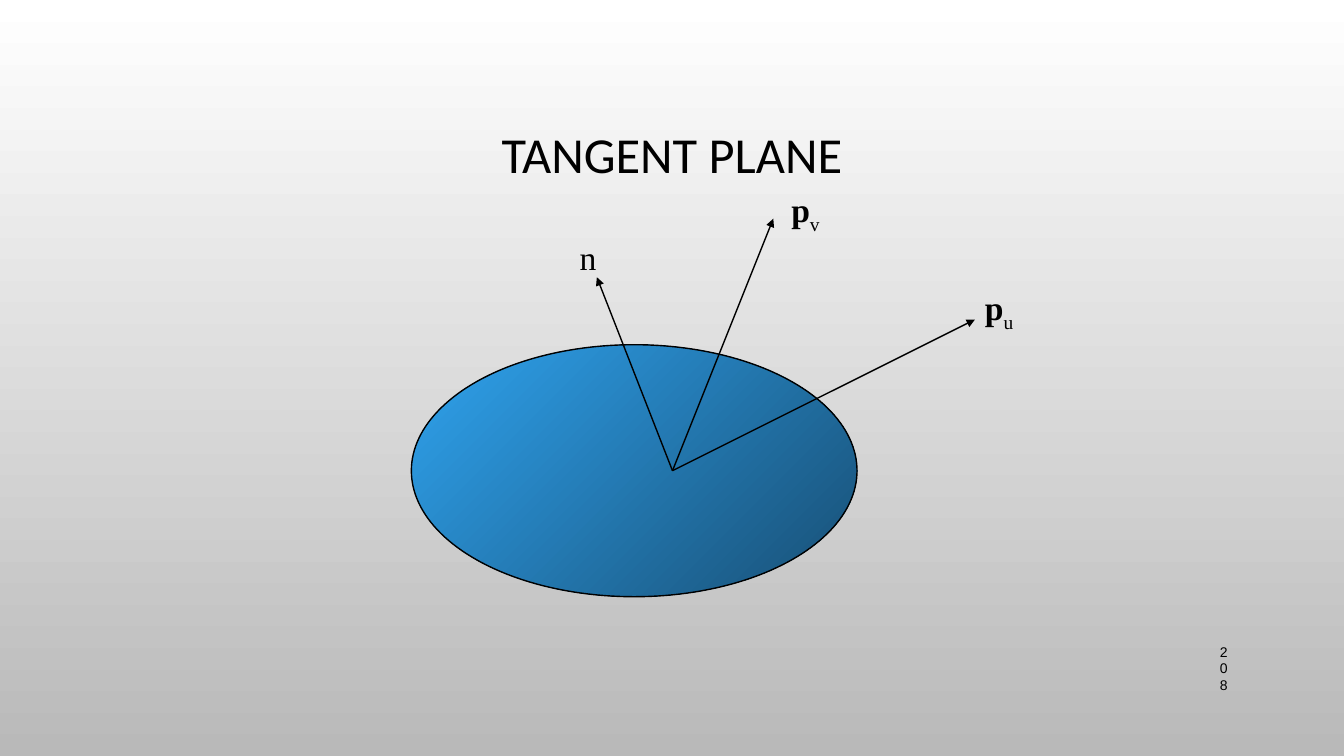
from pptx import Presentation
from pptx.dml.color import RGBColor
from pptx.enum.shapes import MSO_CONNECTOR as CONN, MSO_SHAPE as SHAPE
from pptx.enum.text import MSO_ANCHOR as ANCHOR, MSO_AUTO_SIZE as AUTO, PP_ALIGN as ALIGN
from pptx.oxml.ns import qn
from pptx.util import Inches, Pt
from lxml import etree

BLACK = RGBColor(0, 0, 0)
THEME = {
    "background": ("FFFFFF", "B9B9B9"),
    "surface": ("2FA3EE", "184F75"),
    "title": {"name": "Calibri", "size": Pt(36), "bold": False},
    "label": {"name": "Times New Roman", "size": Pt(24)},
    "number": {"name": "Arial", "size": Pt(10)},
}


def add_run(p, text, style, **extra):
    r = p.add_run()
    r.text = text
    for key, value in {**THEME[style], **extra}.items():
        setattr(r.font, key, value)
    r.font.color.rgb = BLACK
    return r


def fill_gradient(fill, name, angle):
    fill.gradient()
    fill.gradient_angle = angle
    for stop, color in zip(fill.gradient_stops, THEME[name]):
        stop.color.rgb = RGBColor.from_string(color)


prs = Presentation()
prs.slide_width, prs.slide_height = Inches(13.33), Inches(7.5)
s = prs.slides.add_slide(prs.slide_layouts[5])
fill_gradient(s.background.fill, "background", 270)

# Title
title = s.shapes.title
title.left, title.top = Inches(1), Inches(0.68)
title.width, title.height = Inches(11.33), Inches(1.75)
tf = title.text_frame
tf.vertical_anchor = ANCHOR.MIDDLE
p = tf.paragraphs[0]
p.alignment, p.line_spacing = ALIGN.CENTER, 0.9
add_run(p, "TANGENT PLANE", "title")

# Slide number, squeezed into one digit per line by its indent
number = s.shapes.add_textbox(Inches(11.5), Inches(6.43), Inches(0.84), Inches(0.4))
tf = number.text_frame
tf.word_wrap, tf.vertical_anchor = True, ANCHOR.MIDDLE
p = tf.paragraphs[0]
p._p.get_or_add_pPr().set("marL", str(Inches(0.5)))
add_run(p, "208", "number")

# Surface
surface = s.shapes.add_shape(SHAPE.OVAL, Inches(4.08), Inches(3.42), Inches(4.42), Inches(2.5))
surface.shadow.inherit = False
fill_gradient(surface.fill, "surface", 315)
surface.line.color.rgb, surface.line.width = BLACK, Pt(1)

# Vectors from the point of tangency
ORIGIN = Inches(6.67), Inches(4.67)
for x, y in [(9.67, 3.17), (7.67, 2.17), (5.92, 2.75)]:
    vector = s.shapes.add_connector(CONN.STRAIGHT, *ORIGIN, Inches(x), Inches(y))
    vector.line.color.rgb, vector.line.width = BLACK, Pt(1)
    etree.SubElement(vector.line._get_or_add_ln(), qn("a:tailEnd"), type="triangle")
    etree.SubElement(vector._element.spPr, qn("a:effectLst"))

# Vector labels: symbol, subscript, left, top, width
for symbol, sub, x, y, w in [("p", "u", 9.67, 2.8, 0.5),
                             ("p", "v", 7.75, 1.83, 0.5),
                             ("n", "", 5.65, 2.3, 0.37)]:
    label = s.shapes.add_textbox(Inches(x), Inches(y), Inches(w), Inches(0.5))
    tf = label.text_frame
    tf.word_wrap, tf.auto_size = False, AUTO.SHAPE_TO_FIT_TEXT
    p = tf.paragraphs[0]
    add_run(p, symbol, "label", bold=bool(sub))
    if sub:
        r = add_run(p, sub, "label", bold=False)
        r.font._element.set("baseline", "-25000")

prs.save("out.pptx")
